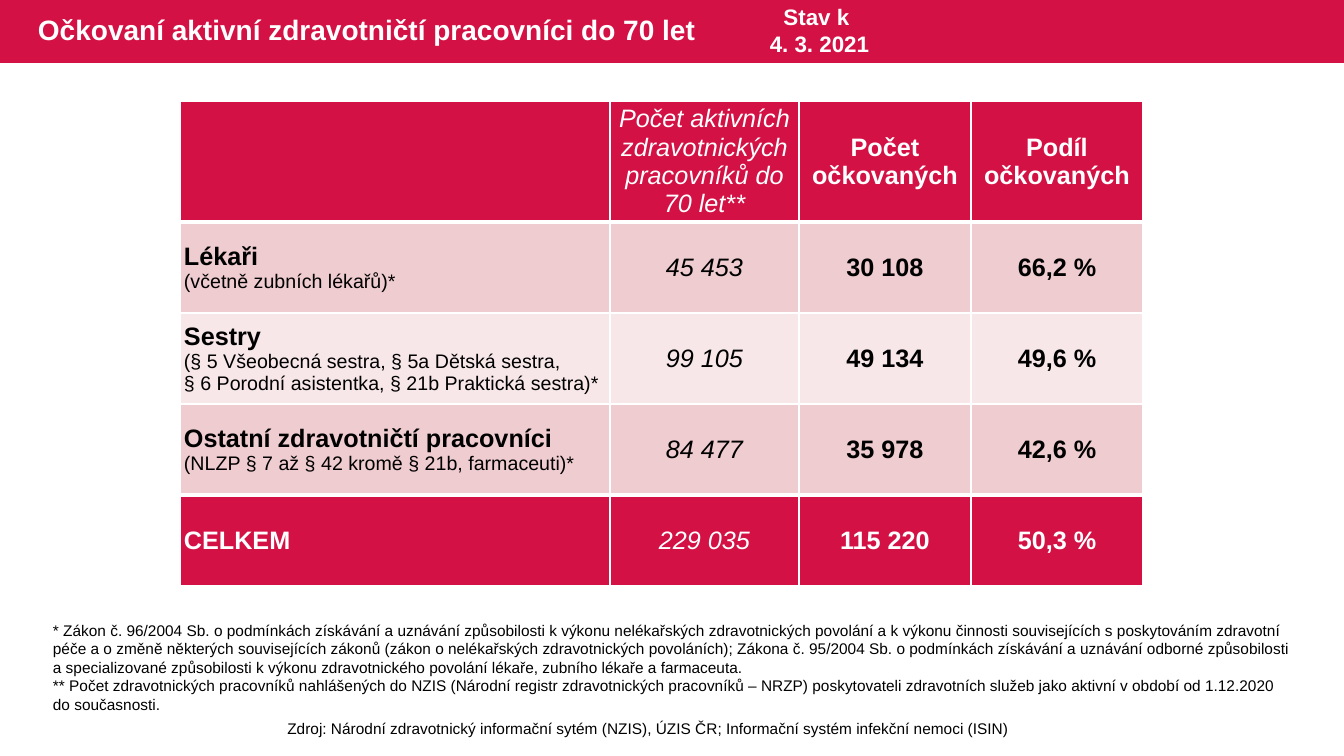
import pptx
import pptx.util
import pptx.dml.color
import pptx.enum.shapes
import pptx.enum.text
import pptx.oxml.ns
import lxml.etree

RED = pptx.dml.color.RGBColor(0xD3, 0x11, 0x45)
ROSE = pptx.dml.color.RGBColor(0xEF, 0xCC, 0xCF)
PALE = pptx.dml.color.RGBColor(0xF7, 0xE7, 0xE9)
WHITE = pptx.dml.color.RGBColor(0xFF, 0xFF, 0xFF)
BLACK = pptx.dml.color.RGBColor(0, 0, 0)
LEFT = pptx.enum.text.PP_ALIGN.LEFT
CENTER = pptx.enum.text.PP_ALIGN.CENTER
MIDDLE = pptx.enum.text.MSO_ANCHOR.MIDDLE
TOP = pptx.enum.text.MSO_ANCHOR.TOP

TITLE = "Očkovaní aktivní zdravotničtí pracovníci do 70 let"
STATUS = ["Stav k ", "4. 3. 2021"]
NOTES = [
    "* Zákon č. 96/2004 Sb. o podmínkách získávání a uznávání způsobilosti k výkonu nelékařských zdravotnických povolání a k výkonu činnosti souvisejících s poskytováním zdravotní péče a o změně některých souvisejících zákonů (zákon o nelékařských zdravotnických povoláních); Zákona č. 95/2004 Sb. o podmínkách získávání a uznávání odborné způsobilosti a specializované způsobilosti k výkonu zdravotnického povolání lékaře, zubního lékaře a farmaceuta.",
    "** Počet zdravotnických pracovníků nahlášených do NZIS (Národní registr zdravotnických pracovníků – NRZP) poskytovateli zdravotních služeb jako aktivní v období od 1.12.2020 do současnosti.",
]
SOURCE = "Zdroj: Národní zdravotnický informační sytém (NZIS), ÚZIS ČR; Informační systém infekční nemoci (ISIN)"
ROWS = [
    ([], "Počet aktivních zdravotnických pracovníků do 70 let**", "Počet očkovaných", "Podíl očkovaných"),
    (["Lékaři", "(včetně zubních lékařů)*"], "45 453", "30 108", "66,2 %"),
    (["Sestry", "(§ 5 Všeobecná sestra, § 5a Dětská sestra,",
      "§ 6 Porodní asistentka, § 21b Praktická sestra)*"], "99 105", "49 134", "49,6 %"),
    (["Ostatní zdravotničtí pracovníci", "(NLZP § 7 až § 42 kromě § 21b, farmaceuti)*"],
     "84 477", "35 978", "42,6 %"),
    (["CELKEM"], "229 035", "115 220", "50,3 %"),
]
COL_WIDTHS = [430, 189, 172, 172]
ROW_HEIGHTS = [120, 91, 91, 91, 91]
ROW_FILLS = [RED, ROSE, PALE, ROSE, RED]


def px(n):
    return pptx.util.Emu(round(n * 914400 / 100.8))


def style(p, size, color, bold=False, italic=False, align=LEFT):
    p.alignment = align
    f = p.font
    f.name, f.size, f.bold, f.italic = "Arial", pptx.util.Pt(size), bold, italic
    f.color.rgb = color


def add_text(slide, box, lines, size, color, bold=False, align=LEFT, anchor=TOP):
    tf = slide.shapes.add_textbox(*map(px, box)).text_frame
    tf.word_wrap = True
    tf.vertical_anchor = anchor
    tf.text = "\n".join(lines)
    for p in tf.paragraphs:
        style(p, size, color, bold, align=align)
    return tf


def add_borders(cell, top, bottom):
    tcPr = cell._tc.get_or_add_tcPr()
    for i, (side, width) in enumerate([("L", 1), ("R", 1), ("T", top), ("B", bottom)]):
        ln = lxml.etree.Element(pptx.oxml.ns.qn("a:ln" + side), w=str(pptx.util.Pt(width)))
        fill = lxml.etree.SubElement(ln, pptx.oxml.ns.qn("a:solidFill"))
        lxml.etree.SubElement(fill, pptx.oxml.ns.qn("a:srgbClr"), val=str(WHITE))
        tcPr.insert(i, ln)


def add_vaccination_table(slide):
    last = len(ROWS) - 1
    frame = slide.shapes.add_table(len(ROWS), len(COL_WIDTHS), px(180), px(101),
                                   px(sum(COL_WIDTHS)), px(sum(ROW_HEIGHTS)))
    table = frame.table
    for c, width in enumerate(COL_WIDTHS):
        table.columns[c].width = px(width)
    for r, row in enumerate(ROWS):
        table.rows[r].height = px(ROW_HEIGHTS[r])
        color = WHITE if r in (0, last) else BLACK
        for c, value in enumerate(row):
            cell = table.cell(r, c)
            cell.fill.solid()
            cell.fill.fore_color.rgb = ROW_FILLS[r]
            add_borders(cell, 3 if r in (1, last) else 1, 3 if r in (0, last - 1) else 1)
            cell.vertical_anchor = MIDDLE
            cell.margin_left = cell.margin_right = px(4 if r == 0 or c == 0 else 1)
            cell.margin_top = cell.margin_bottom = 0
            cell.text = "\n".join(value) if c == 0 else value
            for i, p in enumerate(cell.text_frame.paragraphs):
                style(p, 14 if i else 18, color, bold=c != 1 and i == 0,
                      italic=c == 1, align=CENTER if c else LEFT)


def main():
    prs = pptx.Presentation()
    prs.slide_width, prs.slide_height = px(1344), px(756)
    slide = prs.slides.add_slide(prs.slide_layouts[6])

    band = slide.shapes.add_shape(pptx.enum.shapes.MSO_SHAPE.RECTANGLE, 0, 0, px(1344), px(63))
    band.shadow.inherit = False
    band.fill.solid()
    band.fill.fore_color.rgb = RED
    band.line.fill.background()

    title = add_text(slide, (28, 0, 820, 63), [TITLE], 20, WHITE, True, anchor=MIDDLE)
    title.paragraphs[0].line_spacing = 0.9
    add_text(slide, (192, 714, 913, 29), [SOURCE], 11, BLACK, align=CENTER)
    add_vaccination_table(slide)
    add_text(slide, (738, -2, 163, 64), STATUS, 16, WHITE, True, CENTER)
    add_text(slide, (43, 616, 1263, 104), NOTES, 11, BLACK)
    prs.save("out.pptx")


if __name__ == "__main__":
    main()
